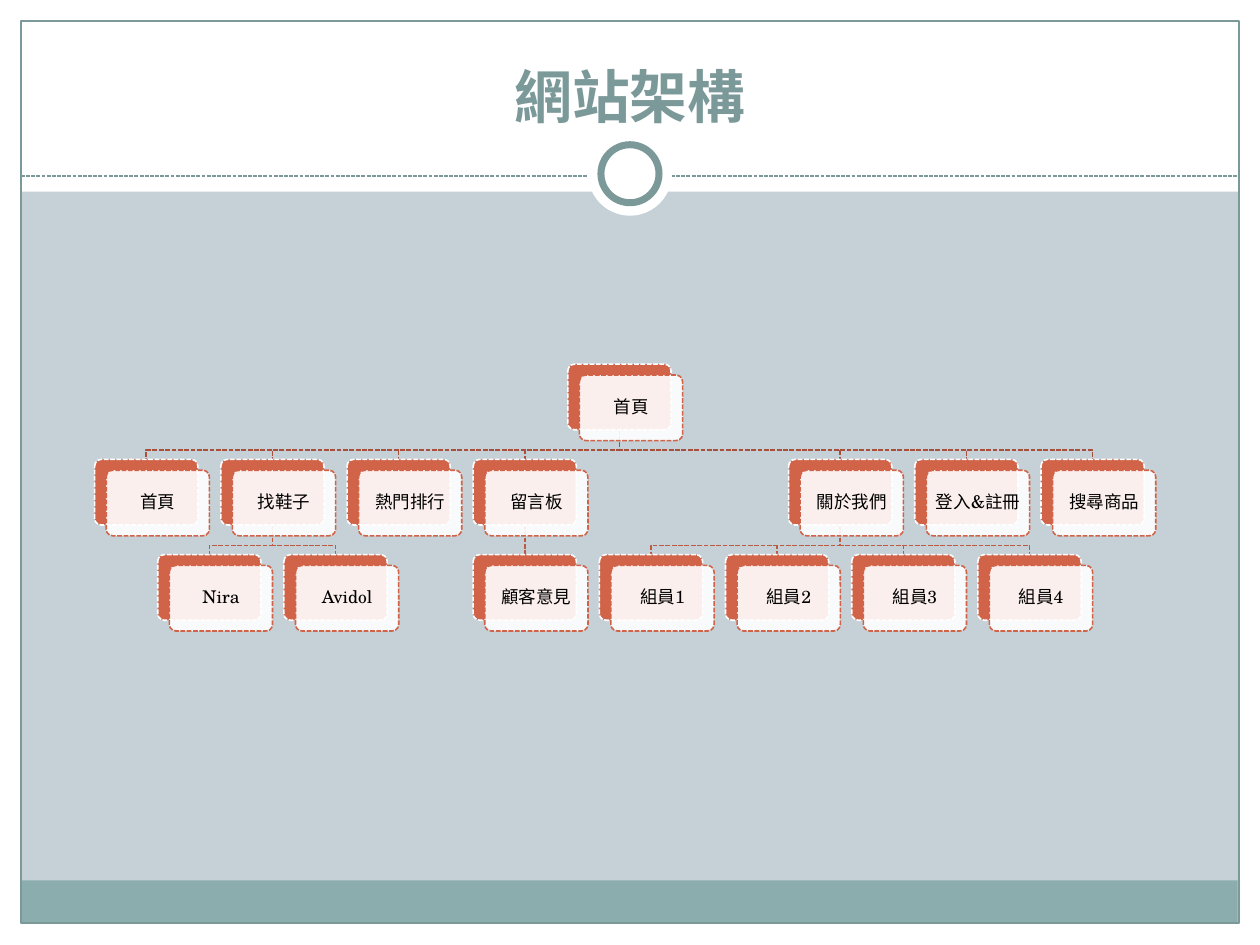
from dataclasses import dataclass

from lxml import etree
from pptx import Presentation
from pptx.dml.color import RGBColor
from pptx.enum.dml import MSO_LINE
from pptx.enum.shapes import MSO_CONNECTOR, MSO_SHAPE
from pptx.enum.text import MSO_ANCHOR, MSO_AUTO_SIZE, PP_ALIGN
from pptx.oxml.ns import qn
from pptx.shapes.autoshape import Shape
from pptx.slide import Slide
from pptx.util import Pt

RECT = MSO_SHAPE.RECTANGLE
OVAL = MSO_SHAPE.OVAL
ROUNDED = MSO_SHAPE.ROUNDED_RECTANGLE
STRAIGHT = MSO_CONNECTOR.STRAIGHT
DASH = MSO_LINE.SQUARE_DOT
CENTER = PP_ALIGN.CENTER
MIDDLE = MSO_ANCHOR.MIDDLE
BOTTOM = MSO_ANCHOR.BOTTOM
NO_AUTOFIT = MSO_AUTO_SIZE.NONE

FONT = "TeX Gyre Schola"
COLORS = {
    "background": "C5D1D7",
    "white": "FFFFFF",
    "text": "000000",
    "frame": "7C999A",
    "footer": "8CADAE",
    "card": "D16349",
    "upper_branch": "A74F3A",
    "lower_branch": "BE5A42",
}

SLIDE_W, SLIDE_H = 720, 540
TREE_LEFT, TREE_TOP = 54.1, 208.1
SLOT_W, LEVEL_H = 72.1, 54.4
CARD_W, CARD_H = 59, 37.5
CARD_DX, CARD_DY = 6.6, 6.2
BRANCH_DROP = 11.7


@dataclass(frozen=True)
class Page:
    label: str
    slot: float
    children: tuple["Page", ...] = ()


@dataclass(frozen=True)
class Panel:
    kind: int
    left: float
    top: float
    width: float
    height: float
    fill: str | None
    line: str | None = None
    weight: float = 0.75


SITE = Page("首頁", 3.75, (
    Page("首頁", 0),
    Page("找鞋子", 1, (Page("Nira", 0.5), Page("Avidol", 1.5))),
    Page("熱門排行", 2),
    Page("留言板", 3, (Page("顧客意見", 3),)),
    Page("關於我們", 5.5, tuple(Page(f"組員{n}", 3 + n) for n in range(1, 5))),
    Page("登入&註冊", 6.5),
    Page("搜尋商品", 7.5),
))

BORDERS = (
    Panel(RECT, 0, 528, SLIDE_W, 12, "white"),
    Panel(RECT, 0, 0, SLIDE_W, 109.5, "white"),
    Panel(RECT, 0, 0, 12, SLIDE_H, "white"),
    Panel(RECT, 708, 0, 12, SLIDE_H, "white"),
    Panel(RECT, 11.7, 503, 695.5, 24.7, "footer"),
    Panel(RECT, 12, 12, 696, 515.5, None, "frame"),
)
RINGS = (
    Panel(OVAL, 336, 75.3, 48, 48, "white"),
    Panel(OVAL, 343.4, 82.7, 33.2, 33.2, "white", "frame", 4),
)


def rgb(name: str) -> RGBColor:
    return RGBColor.from_string(COLORS[name])


def add_panel(slide: Slide, panel: Panel, dashed: bool = False) -> Shape:
    shape = slide.shapes.add_shape(
        panel.kind, Pt(panel.left), Pt(panel.top), Pt(panel.width), Pt(panel.height)
    )
    shape.shadow.inherit = False
    if panel.fill:
        shape.fill.solid()
        shape.fill.fore_color.rgb = rgb(panel.fill)
    else:
        shape.fill.background()
    if panel.line:
        shape.line.color.rgb = rgb(panel.line)
        shape.line.width = Pt(panel.weight)
        if dashed:
            shape.line.dash_style = DASH
    else:
        shape.line.fill.background()
    return shape


def add_dashed_line(slide: Slide, x1: float, y1: float, x2: float, y2: float,
                    color: str, weight: float) -> None:
    rule = slide.shapes.add_connector(STRAIGHT, Pt(x1), Pt(y1), Pt(x2), Pt(y2))
    rule.line.color.rgb = rgb(color)
    rule.line.width = Pt(weight)
    rule.line.dash_style = DASH
    etree.SubElement(rule._element.spPr, qn("a:effectLst"))


def card_left(page: Page) -> float:
    return TREE_LEFT + page.slot * SLOT_W


def card_top(level: int) -> float:
    return TREE_TOP + level * LEVEL_H


def add_branch(slide: Slide, parent: Page, child: Page, level: int) -> None:
    start_x, end_x = (card_left(page) + CARD_W / 2 for page in (parent, child))
    start_y, end_y = card_top(level) + CARD_H, card_top(level + 1)
    color = "lower_branch" if level else "upper_branch"
    if parent.slot == child.slot:
        add_dashed_line(slide, start_x, start_y, end_x, end_y, color, 0.9)
        return
    bend_y = start_y + BRANCH_DROP
    builder = slide.shapes.build_freeform(Pt(start_x), Pt(start_y))
    builder.add_line_segments(
        [(Pt(x), Pt(y)) for x, y in ((start_x, bend_y), (end_x, bend_y), (end_x, end_y))],
        close=False,
    )
    branch = builder.convert_to_shape()
    branch.shadow.inherit = False
    branch.fill.background()
    branch.line.color.rgb = rgb(color)
    branch.line.width = Pt(0.9)
    branch.line.dash_style = DASH


def add_branches(slide: Slide, page: Page, level: int = 0) -> None:
    for child in reversed(page.children):
        add_branch(slide, page, child, level)
        add_branches(slide, child, level + 1)


def add_cards(slide: Slide, page: Page, level: int = 0) -> None:
    left, top = card_left(page), card_top(level)
    back = add_panel(
        slide, Panel(ROUNDED, left, top, CARD_W, CARD_H, "card", "white", 0.9), True
    )
    front = add_panel(
        slide,
        Panel(ROUNDED, left + CARD_DX, top + CARD_DY, CARD_W, CARD_H, "white", "card", 0.9),
        True,
    )
    for card in (back, front):
        card.adjustments[0] = 0.1
    fill_color = front.fill._xPr.find(qn("a:solidFill"))[0]
    etree.SubElement(fill_color, qn("a:alpha"), val="90000")

    frame = front.text_frame
    frame.word_wrap = True
    frame.vertical_anchor = MIDDLE
    frame.margin_left = frame.margin_right = Pt(3)
    frame.margin_top = frame.margin_bottom = Pt(3)
    label = frame.paragraphs[0]
    label.text = page.label
    label.alignment = CENTER
    label.line_spacing = 0.9
    label.font.name = FONT
    label.font.size = Pt(10)
    label.font.color.rgb = rgb("text")

    for child in page.children:
        add_cards(slide, child, level + 1)


def format_title(slide: Slide) -> None:
    title = slide.shapes.title
    title.left, title.top, title.width, title.height = Pt(24), Pt(18), Pt(672), Pt(60)
    frame = title.text_frame
    frame.auto_size = NO_AUTOFIT
    frame.vertical_anchor = BOTTOM
    heading = frame.paragraphs[0]
    heading.text = "網站架構"
    heading.alignment = CENTER
    heading.font.name = FONT
    heading.font.size = Pt(33)
    heading.font.bold = True
    heading.font.color.rgb = rgb("frame")
    slide.shapes._spTree.append(title._element)


def main() -> None:
    deck = Presentation()
    deck.slide_width, deck.slide_height = Pt(SLIDE_W), Pt(SLIDE_H)
    slide = deck.slides.add_slide(deck.slide_layouts[5])
    slide.background.fill.solid()
    slide.background.fill.fore_color.rgb = rgb("background")
    for border in BORDERS:
        add_panel(slide, border)
    add_dashed_line(slide, 12, 100.6, 708, 100.6, "frame", 0.75)
    for ring in RINGS:
        add_panel(slide, ring)
    format_title(slide)
    add_branches(slide, SITE)
    add_cards(slide, SITE)
    deck.save("out.pptx")


if __name__ == "__main__":
    main()
